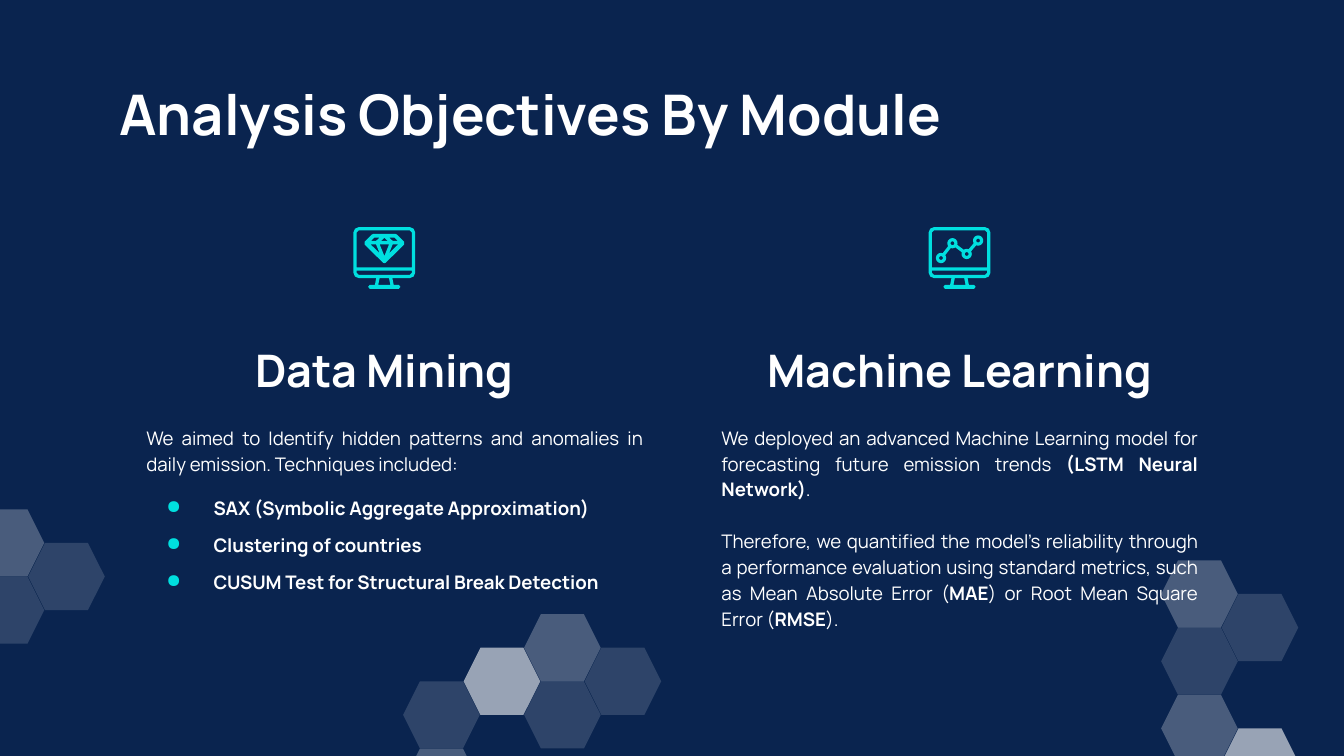
import math
from lxml import etree
from pptx import Presentation
from pptx.dml.color import RGBColor
from pptx.enum.shapes import MSO_SHAPE
from pptx.enum.text import MSO_ANCHOR, PP_ALIGN
from pptx.oxml.ns import qn
from pptx.util import Inches, Pt

HEXAGON = MSO_SHAPE.HEXAGON
TOP, BOTTOM = MSO_ANCHOR.TOP, MSO_ANCHOR.BOTTOM
LEFT, CENTER, JUSTIFY = PP_ALIGN.LEFT, PP_ALIGN.CENTER, PP_ALIGN.JUSTIFY

THEME = {
    "font": "Manrope", "title": Pt(30), "heading": Pt(24), "body": Pt(10),
    "navy": RGBColor.from_string("0A244F"),
    "white": RGBColor.from_string("FFFFFF"),
    "cyan": RGBColor.from_string("00DFDF"),
}

deck = Presentation()
deck.slide_width, deck.slide_height = Inches(10), Inches(5.625)
UNIT = deck.slide_width / 100  # the grid has 100 columns; rows are as tall
slide = deck.slides.add_slide(deck.slide_layouts[6])
slide.background.fill.solid()
slide.background.fill.fore_color.rgb = THEME["navy"]


def add_text(box, size, paragraphs, anchor=TOP):
    """Each paragraph is (format, runs); every second run is bold."""
    frame = slide.shapes.add_textbox(*(round(v * UNIT) for v in box)).text_frame
    frame.word_wrap, frame.vertical_anchor = True, anchor
    for side in ("left", "top", "right", "bottom"):
        setattr(frame, f"margin_{side}", round(UNIT))
    for index, (formats, runs) in enumerate(paragraphs):
        paragraph = frame.paragraphs[0] if index == 0 else frame.add_paragraph()
        bulleted = formats.get("bulleted", False)
        for key, value in formats.items():
            if key != "bulleted":
                setattr(paragraph, key, value)
        if bulleted:
            props = paragraph._p.get_or_add_pPr()
            props.set("marL", str(round(5 * UNIT)))
            props.set("indent", str(round(-3.5 * UNIT)))
            color = etree.SubElement(props, qn("a:buClr"))
            etree.SubElement(color, qn("a:srgbClr"), val=str(THEME["cyan"]))
            etree.SubElement(props, qn("a:buChar"), char="●")
        for position, words in enumerate(runs):
            if words:
                run = paragraph.add_run()
                run.text = words
                run.font.name, run.font.size = THEME["font"], size
                run.font.bold = position % 2 == 1
                run.font.color.rgb = THEME["white"]


def draw_icon(center, contours):
    """Fill the contours as one outline; inner contours become holes."""
    placed = [[(round((center + x) * UNIT), round((ICON_TOP + y) * UNIT))
               for x, y in contour] for contour in contours]
    builder = slide.shapes.build_freeform(*placed[0][0])
    for index, contour in enumerate(placed):
        if index:
            builder.move_to(*contour[0])
        builder.add_line_segments(contour[1:], close=True)
    icon = builder.convert_to_shape()
    icon.shadow.inherit = False
    icon.fill.solid()
    icon.fill.fore_color.rgb = THEME["cyan"]
    icon.line.fill.background()


# Honeycomb clusters: origin, then (column, half row, opacity in percent)
HEX_WIDTH, HEX_HEIGHT, HEX_PITCH = 5.7, 5, 4.5
clusters = [
    (30, 45.7, [(3, 1, 15), (2, 2, 15), (2, 0, 26), (1, 1, 58), (0, 2, 15), (0, 4, 26)]),
    (86.4, 41.7, [(1, 1, 15), (0, 2, 15), (0, 0, 26), (1, 5, 58), (0, 4, 26)]),
    (-2.4, 37.9, [(1, 1, 15), (0, 2, 15), (0, 0, 26)]),
]
for left, top, cells in clusters:
    for column, half_row, opacity in cells:
        box = (left + column * HEX_PITCH, top + half_row * HEX_HEIGHT / 2,
               HEX_WIDTH, HEX_HEIGHT)
        cell = slide.shapes.add_shape(HEXAGON, *(round(v * UNIT) for v in box))
        cell.shadow.inherit = False
        cell.fill.solid()
        cell.fill.fore_color.rgb = THEME["white"]
        tint = cell.fill._xPr.find(".//" + qn("a:srgbClr"))
        etree.SubElement(tint, qn("a:alpha"), val=str(opacity * 1000))
        cell.line.fill.background()

# Title
add_text((7.9, 4.9, 84.3, 6.3), THEME["title"],
         [({}, ["", "Analysis Objectives By Module"])])

# Module descriptions
prose = {"alignment": JUSTIFY, "line_spacing": 1.15}
item = {"alignment": LEFT, "line_spacing": 1.15, "bulleted": True}
add_text((52.7, 30.5, 37.4, 26.9), THEME["body"], [
    (prose, ["We deployed an advanced Machine Learning model for forecasting future "
             "emission trends ", "(LSTM Neural Network)", "."]),
    (prose | {"space_before": Pt(14)}, [
        "Therefore, we quantified the model's reliability through a performance "
        "evaluation using standard metrics, such as Mean Absolute Error (",
        "MAE", ") or Root Mean Square Error (", "RMSE", ")."]),
])
add_text((9.9, 30.5, 38.9, 18.3), THEME["body"], [
    (prose, ["We aimed to Identify hidden patterns and anomalies in daily emission. "
             "Techniques included:"]),
    (item | {"space_before": Pt(10), "space_after": Pt(6)},
     ["", "SAX (Symbolic Aggregate Approximation)"]),
    (item | {"space_after": Pt(6)}, ["", "Clustering of countries"]),
    (item, ["", "CUSUM Test for Structural Break Detection"]),
])

# Monitor and diamond, given as right halves around the icon's centre line
ICON_TOP = 16.9
monitor_halves = [
    [(0, 0), (1.9, 0), (2.18, 0.12), (2.3, 0.4), (2.3, 3.4), (2.18, 3.68), (1.9, 3.8),
     (0.6, 3.8), (0.7, 4.3), (1.08, 4.3), (1.2, 4.45), (1.08, 4.6), (0, 4.6)],
    [(0, 0.25), (1.9, 0.25), (2.05, 0.4), (2.05, 3), (0, 3)],
    [(0, 3.25), (2.05, 3.25), (2.05, 3.4), (1.9, 3.55), (0, 3.55)],
    [(0, 3.8), (0.35, 3.8), (0.45, 4.3), (0, 4.3)],
]
diamond_halves = [
    [(0, 0.5), (0.8, 0.5), (0.92, 0.55), (1.47, 1.1), (1.47, 1.3), (0.1, 2.65), (0, 2.68)],
    [(0, 0.8), (0.25, 1.03), (0, 1.03)],
    [(0, 1.28), (0.35, 1.28), (0, 2.15)],
]
diamond_facets = [
    [(0.35, 0.78), (0.75, 0.78), (1, 1.03), (0.62, 1.03)],
    [(0.62, 1.28), (1.03, 1.28), (0.35, 1.95)],
]
monitor, diamond = [
    [half + [(-x, y) for x, y in reversed(half)] for half in halves]
    for halves in (monitor_halves, diamond_halves)]
diamond += [[(side * x, y) for x, y in facet]
            for facet in diamond_facets for side in (1, -1)]

# Trend line: ringed nodes and the links between their edges
RING, HOLE, HALF_LINK = 0.38, 0.14, 0.12
nodes = [(-1.38, 2.3), (-0.53, 1.2), (0.53, 2), (1.38, 1)]
trend = [[(x + radius * math.cos(math.tau * step / 24),
           y + radius * math.sin(math.tau * step / 24)) for step in range(24)]
         for x, y in nodes for radius in (RING, HOLE)]
for (x1, y1), (x2, y2) in zip(nodes, nodes[1:]):
    length = math.dist((x1, y1), (x2, y2))
    dx, dy = (x2 - x1) / length, (y2 - y1) / length
    trend.append([(x1 + dx * along - dy * across, y1 + dy * along + dx * across)
                  for along, across in ((RING, HALF_LINK), (length - RING, HALF_LINK),
                                        (length - RING, -HALF_LINK), (RING, -HALF_LINK))])

# Module headings with their icons
HEADING_WIDTH = 33
modules = [("Data Mining", 12.1, diamond), ("Machine Learning", 54.9, trend)]
for heading, left, symbol in modules:
    add_text((left, 24.4, HEADING_WIDTH, 6.1), THEME["heading"],
             [({"alignment": CENTER, "line_spacing": 1.15}, ["", heading])], BOTTOM)
    for contours in (monitor, symbol):
        draw_icon(left + HEADING_WIDTH / 2, contours)

deck.save("out.pptx")
